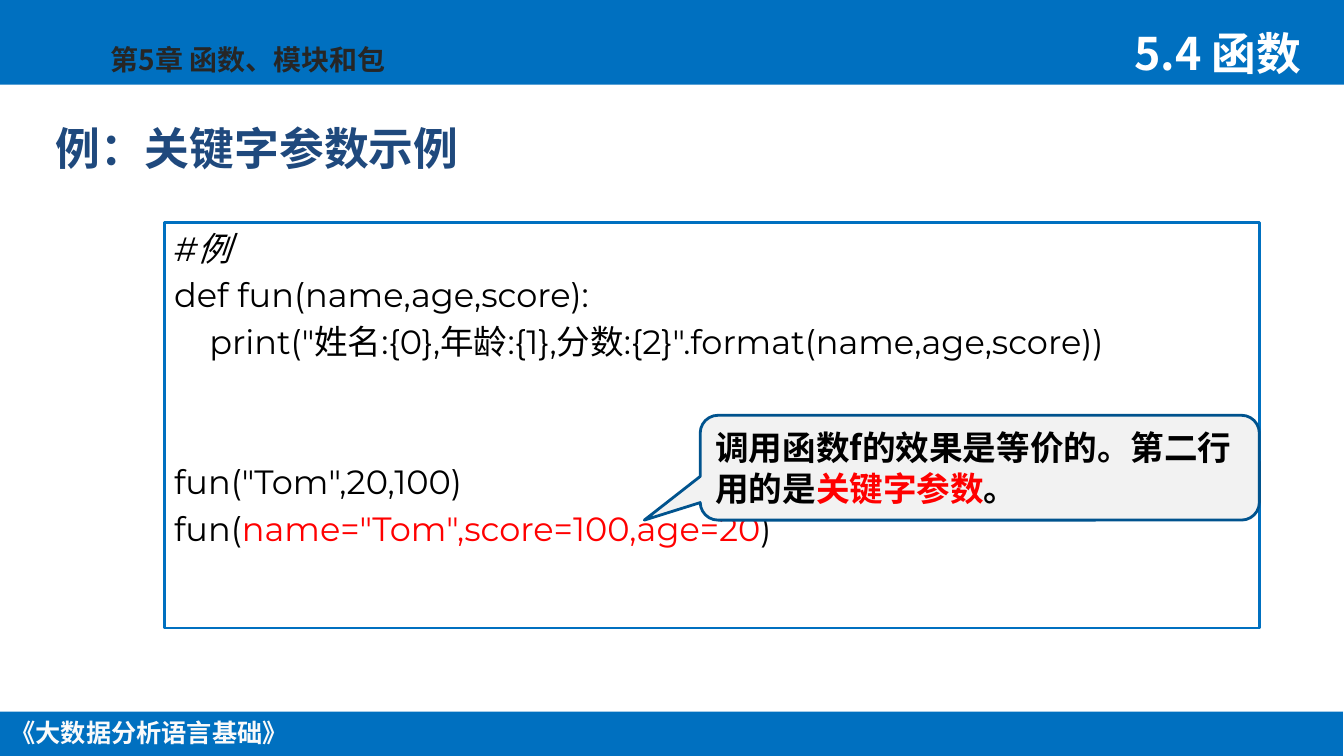
from pptx import Presentation
from pptx.dml.color import RGBColor
from pptx.enum.shapes import MSO_SHAPE as SHAPE
from pptx.enum.text import MSO_ANCHOR as ANCHOR, MSO_AUTO_SIZE as AUTO, PP_ALIGN as ALIGN
from pptx.oxml import parse_xml
from pptx.oxml.ns import nsdecls, qn
from pptx.util import Inches, Pt

BLUE = RGBColor(0x00, 0x70, 0xC0)
DEEP_BLUE = RGBColor(0x00, 0x53, 0x8E)
NAVY = RGBColor(0x1F, 0x49, 0x7D)
WHITE = RGBColor(0xFF, 0xFF, 0xFF)
OFF_WHITE = RGBColor(0xFA, 0xFA, 0xFA)
PALE_GREY = RGBColor(0xF2, 0xF2, 0xF2)
CHARCOAL = RGBColor(0x26, 0x26, 0x26)
BLACK = RGBColor(0x00, 0x00, 0x00)
RED = RGBColor(0xFF, 0x00, 0x00)
HEAD_FONT = "Noto Sans CJK SC"
CODE_FONT = "Montserrat"

# Each code line: (runs, left indent in inches, space before in points)
CODE = [
    ([("#例", BLACK)], 0, 0),
    ([("def fun(name,age,score):", BLACK)], 0, 4.4),
    ([('print("姓名:{0},年龄:{1},分数:{2}".format(name,age,score))', BLACK)], 0.35, 4.4),
    ([('fun("Tom",20,100)', BLACK)], 0, 71.6),
    ([("fun(", BLACK), ('name="Tom",score=100,age=20', RED), (")", BLACK)], 0, 4.4),
]


def add_run(p, text, size, color, font=HEAD_FONT, bold=True):
    r = p.add_run()
    r.text = text
    f = r.font
    f.name, f.size, f.bold = font, Pt(size), bold
    f.color.rgb = color
    latin = f._element.find(qn("a:latin"))
    latin.addnext(parse_xml(f'<a:ea {nsdecls("a")} typeface="{font}"/>'))
    return r


def add_box(s, box, fill, line=None, kind=SHAPE.RECTANGLE):
    sp = s.shapes.add_shape(kind, *map(Inches, box))
    sp.shadow.inherit = False
    sp.fill.solid()
    sp.fill.fore_color.rgb = fill
    if line is None:
        sp.line.fill.background()
    else:
        sp.line.color.rgb = line
        sp.line.width = Pt(2)
    sp.text_frame.word_wrap = True
    return sp


def add_label(s, box, text, size, color, align=ALIGN.LEFT, wrap=True):
    tf = s.shapes.add_textbox(*map(Inches, box)).text_frame
    tf.word_wrap = wrap
    tf.auto_size = AUTO.SHAPE_TO_FIT_TEXT
    p = tf.paragraphs[0]
    p.alignment = align
    return add_run(p, text, size, color)


def add_header(s, box):
    left, top = box[:2]
    add_box(s, box, BLUE)
    r = add_label(s, (left + 1, top + 0.37, 3.78, 0.44), "第5章 函数、模块和包", 20, CHARCOAL)
    r.font._element.insert(0, parse_xml(
        f'<a:ln {nsdecls("a")} w="{Pt(1.06)}"><a:solidFill>'
        f'<a:srgbClr val="{WHITE}"/></a:solidFill></a:ln>'))
    add_label(s, (left + 11.16, top + 0.21, 2.21, 0.64), "5.4 函数", 32, WHITE)


def add_footer(s, box):
    left, top = box[:2]
    add_box(s, box, BLUE)
    add_label(s, (left, top + 0.01, 2.98, 0.4), "《大数据分析语言基础》", 18, OFF_WHITE,
              ALIGN.CENTER, wrap=False)


def set_title(s, box):
    title = s.shapes.title
    title.left, title.top, title.width, title.height = map(Inches, box)
    tf = title.text_frame
    tf.auto_size = AUTO.NONE
    tf.vertical_anchor = ANCHOR.BOTTOM
    p = tf.paragraphs[0]
    p.alignment = ALIGN.LEFT
    p.line_spacing = 0.9
    add_run(p, "例：关键字参数示例", 32, NAVY)


def add_code(s, box):
    tf = add_box(s, box, WHITE, BLUE).text_frame
    tf.vertical_anchor = ANCHOR.TOP
    for i, (runs, indent, before) in enumerate(CODE):
        p = tf.add_paragraph() if i else tf.paragraphs[0]
        p.alignment = ALIGN.LEFT
        p.space_before = Pt(before)
        if indent:
            p._p.get_or_add_pPr().set("marL", str(Inches(indent)))
        for text, color in runs:
            r = add_run(p, text, 24, color, CODE_FONT, bold=False)
            r.font.italic = i == 0


def add_callout(s, box):
    sp = add_box(s, box, PALE_GREY, DEEP_BLUE, SHAPE.ROUNDED_RECTANGULAR_CALLOUT)
    for i, value in enumerate((-0.6, 0.5, 0.17)):
        sp.adjustments[i] = value
    tf = sp.text_frame
    tf.vertical_anchor = ANCHOR.MIDDLE
    p = tf.paragraphs[0]
    p.alignment = ALIGN.LEFT
    add_run(p, "调用函数f的效果是等价的。第二行用的是", 24, BLACK)
    add_run(p, "关键字参数", 24, RED)
    add_run(p, "。", 24, BLACK)


def main():
    prs = Presentation()
    prs.slide_width, prs.slide_height = Inches(13.34), Inches(7.5)
    s = prs.slides.add_slide(prs.slide_layouts.get_by_name("Title Only"))
    add_header(s, (0, 0, 13.34, 0.84))
    add_footer(s, (-0.01, 7.06, 13.34, 0.45))
    set_title(s, (0.45, 0.76, 9.02, 1.03))
    add_code(s, (1.63, 2.21, 10.87, 4.02))
    add_callout(s, (6.95, 4.12, 5.55, 1.04))
    prs.save("out.pptx")


if __name__ == "__main__":
    main()
